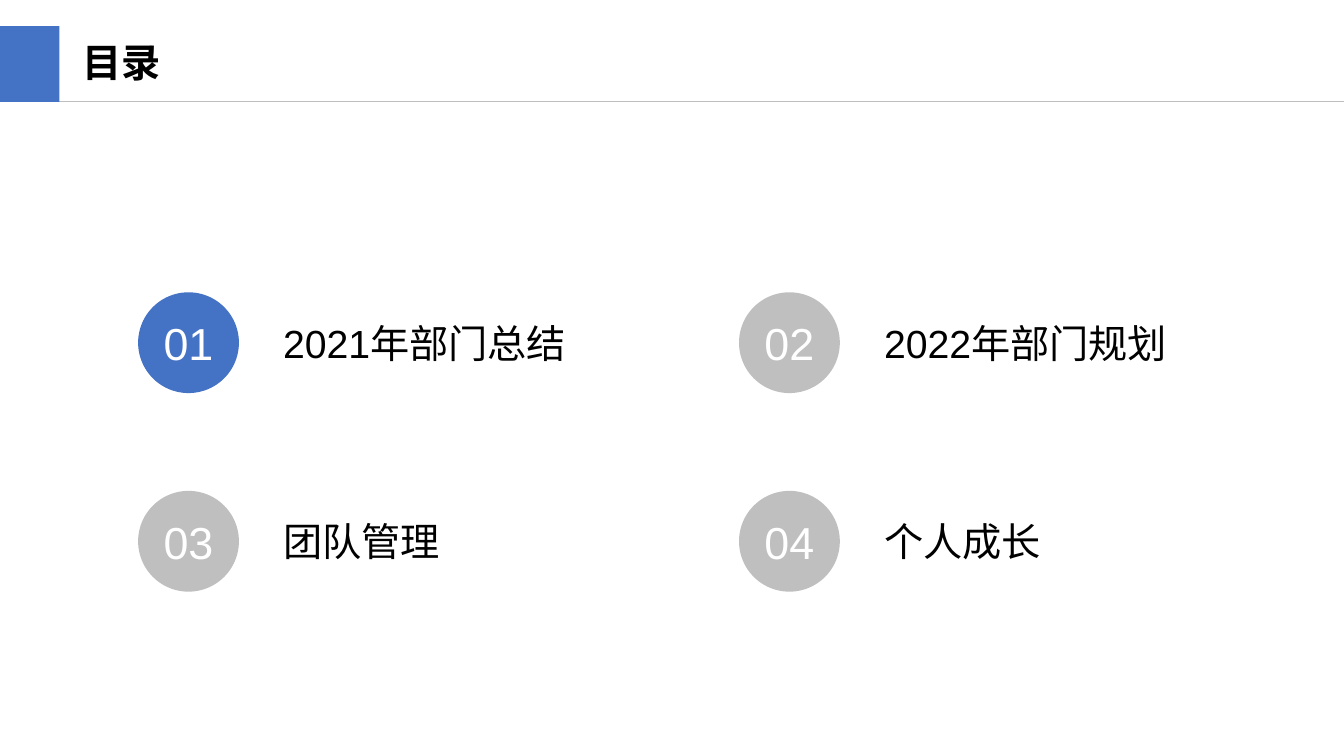
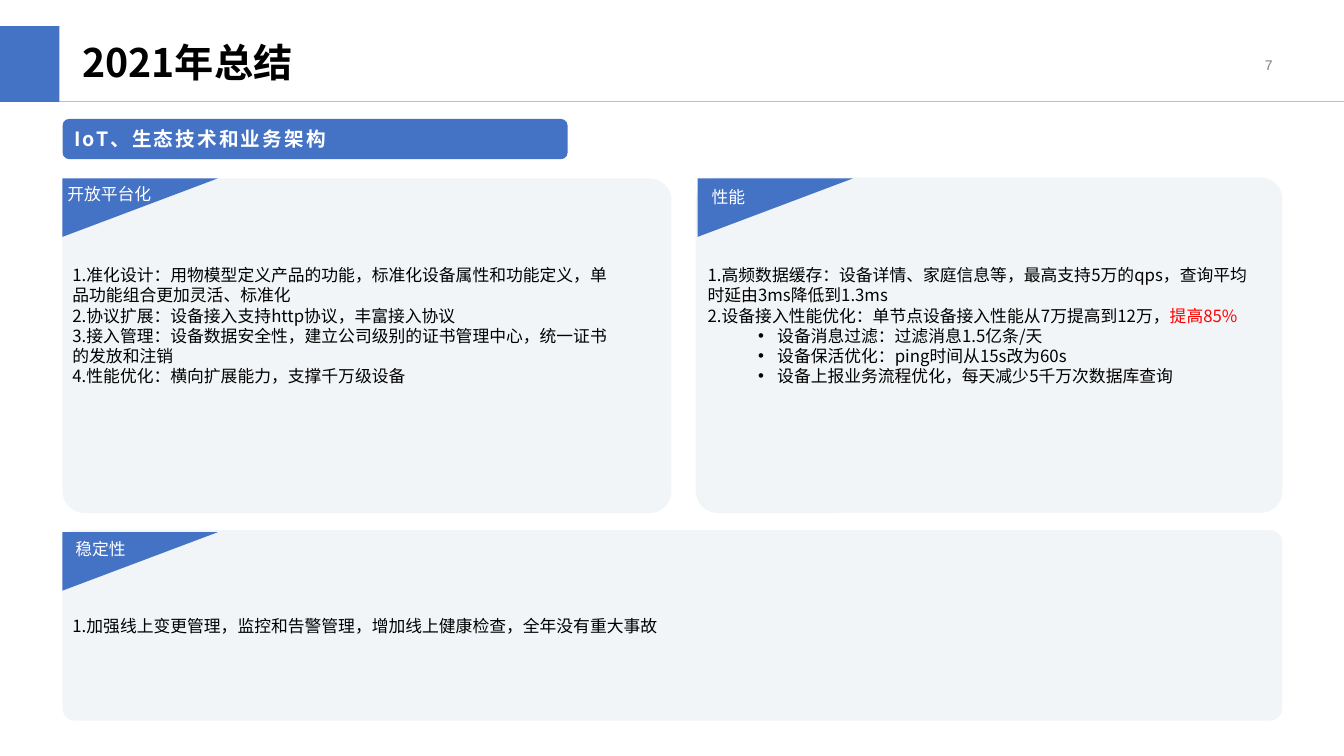
from pptx import Presentation
from pptx import util as u
from pptx.dml.color import RGBColor
from pptx.enum import shapes, text
from pptx.oxml.ns import qn
from lxml import etree

PX = 9144  # 100 px to the inch
BLUE, GREY, PANEL = "4472C4", "BFBFBF", "F2F5F7"
BLACK, WHITE, RED, DIM = "000000", "FFFFFF", "FF0000", "808080"
ARIAL, NOTO = "Arial", "Noto Sans CJK SC"
KIND, ALIGN = shapes.MSO_SHAPE, text.PP_ALIGN
MID, TOP = text.MSO_ANCHOR.MIDDLE, text.MSO_ANCHOR.TOP


def px(*nums):
    return [u.Emu(n * PX) for n in nums]


def paint(target, color):
    target.solid()
    target.fore_color.rgb = RGBColor.from_string(color)


def add_run(para, words, size, color, font=NOTO, bold=False):
    run = para.add_run()
    run.text = words
    run.font.size, run.font.bold, run.font.name = u.Pt(size), bold, font
    run.font.color.rgb = RGBColor.from_string(color)
    east = etree.SubElement(run._r.get_or_add_rPr(), qn("a:ea"))
    east.set("typeface", NOTO)
    return run


def add_shape(slide, kind, box, color, adj=None):
    shape = slide.shapes.add_shape(kind, *px(*box))
    shape.shadow.inherit = False
    paint(shape.fill, color)
    shape.line.fill.background()
    if adj is not None:
        shape.adjustments[0] = adj
    return shape


def add_frame(slide, box, anchor=TOP):
    frame = slide.shapes.add_textbox(*px(*box)).text_frame
    frame.word_wrap = True
    frame.vertical_anchor = anchor
    if anchor == TOP:
        frame.auto_size = text.MSO_AUTO_SIZE.SHAPE_TO_FIT_TEXT
    return frame


def add_text(slide, box, words, size, color, font=NOTO, bold=False, anchor=TOP):
    para = add_frame(slide, box, anchor).paragraphs[0]
    add_run(para, words, size, color, font, bold)
    return para


def add_bullet(para):
    para.level = 1
    props = para._p.get_or_add_pPr()
    left, hang = px(69, -19)
    props.set("marL", str(left))
    props.set("indent", str(hang))
    etree.SubElement(props, qn("a:buFont")).set("typeface", ARIAL)
    etree.SubElement(props, qn("a:buChar")).set("char", "•")


def add_body(slide, box, items):
    """Each item is a list of (words, color) runs; a plain string is a bullet."""
    frame = add_frame(slide, box)
    for i, item in enumerate(items):
        para = frame.add_paragraph() if i else frame.paragraphs[0]
        if isinstance(item, str):
            add_bullet(para)
            item = [(item, BLACK)]
        for words, color in item:
            add_run(para, words, 12, color)


def add_slide(deck, title):
    """Blank slide with the shared rule, blue block and title."""
    slide = deck.slides.add_slide(deck.slide_layouts[6])
    rule = slide.shapes.add_connector(
        shapes.MSO_CONNECTOR.STRAIGHT, *px(0, 101, 1333, 101))
    paint(rule.line.fill, GREY)
    rule.line.width = u.Pt(0.5)
    etree.SubElement(rule._element.spPr, qn("a:effectLst"))
    add_shape(slide, KIND.RECTANGLE, (0, 26, 59, 75), BLUE)
    para = add_text(slide, (72, 38, 794, 52), title, 28, BLACK, bold=True)
    para.line_spacing = 0.9
    return slide


def add_topic(slide, num, words, x, y, color):
    disc = add_shape(slide, KIND.OVAL, (x, y, 100, 100), color)
    frame = disc.text_frame
    frame.word_wrap = False
    frame.vertical_anchor = MID
    para = frame.paragraphs[0]
    para.alignment = ALIGN.CENTER
    add_run(para, f"{num:02}", 32, WHITE, ARIAL)
    add_text(slide, (x + 134, y, 379, 100), words, 28, BLACK, ARIAL, anchor=MID)


def add_banner(slide, words):
    bar = add_shape(slide, KIND.ROUNDED_RECTANGLE, (62, 118, 501, 40), BLUE)
    bar.text_frame.vertical_anchor = MID
    para = bar.text_frame.paragraphs[0]
    para.alignment = ALIGN.LEFT
    para.space_after = u.Pt(4)
    run = add_run(para, words, 14, WHITE, bold=True)
    run._r.get_or_add_rPr().set("spc", "150")


def add_card(slide, panel, corner, label, tag, body, items):
    """Panel with a blue corner flag, its label and the body text."""
    add_shape(slide, KIND.ROUNDED_RECTANGLE, panel, PANEL, 0.066)
    add_body(slide, body, items)
    flag = add_shape(slide, KIND.RIGHT_TRIANGLE, (*corner, 154, 58), BLUE)
    flag._element.spPr.find(qn("a:xfrm")).set("flipV", "1")
    add_text(slide, (*tag, 126, 30), label, 12, WHITE, ARIAL)


def build_agenda(deck):
    slide = add_slide(deck, "目录")
    topics = ["2021年部门总结", "2022年部门规划", "团队管理", "个人成长"]
    for i, words in enumerate(topics):
        row, col = divmod(i, 2)
        add_topic(slide, i + 1, words, 137 + 596 * col, 290 + 197 * row,
                  GREY if i else BLUE)


def build_review(deck):
    slide = add_slide(deck, "2021年总结")
    para = add_text(slide, (972, 44, 300, 40), "7", 10, DIM, ARIAL, anchor=MID)
    para.alignment = ALIGN.RIGHT
    add_banner(slide, "IoT、生态技术和业务架构")
    add_card(slide, (62, 177, 604, 332), (62, 177), "开放平台化", (57, 177),
             (62, 258, 559, 131), [
        [("1.准化设计：用物模型定义产品的功能，标准化设备属性和功能定义，"
          "单品功能组合更加灵活、标准化", BLACK)],
        [("2.协议扩展：设备接入支持http协议，丰富接入协议", BLACK)],
        [("3.接入管理：设备数据安全性，建立公司级别的证书管理中心，"
          "统一证书的发放和注销", BLACK)],
        [("4.性能优化：横向扩展能力，支撑千万级设备", BLACK)],
    ])
    add_card(slide, (690, 176, 582, 333), (692, 177), "性能", (696, 180),
             (692, 258, 561, 131), [
        [("1.高频数据缓存：设备详情、家庭信息等，最高支持5万的qps，"
          "查询平均时延由3ms降低到1.3ms", BLACK)],
        [("2.设备接入性能优化：单节点设备接入性能从7万提高到12万，", BLACK),
         ("提高85%", RED)],
        "设备消息过滤：过滤消息1.5亿条/天",
        "设备保活优化：ping时间从15s改为60s",
        "设备上报业务流程优化，每天减少5千万次数据库查询",
    ])
    add_card(slide, (62, 526, 1210, 189), (62, 528), "稳定性", (65, 530),
             (62, 606, 1161, 30), [
        [("1.加强线上变更管理，监控和告警管理，增加线上健康检查，"
          "全年没有重大事故", BLACK)],
    ])


def main():
    deck = Presentation()
    deck.slide_width, deck.slide_height = px(1333, 750)
    build_agenda(deck)
    build_review(deck)
    deck.save("out.pptx")


if __name__ == "__main__":
    main()
